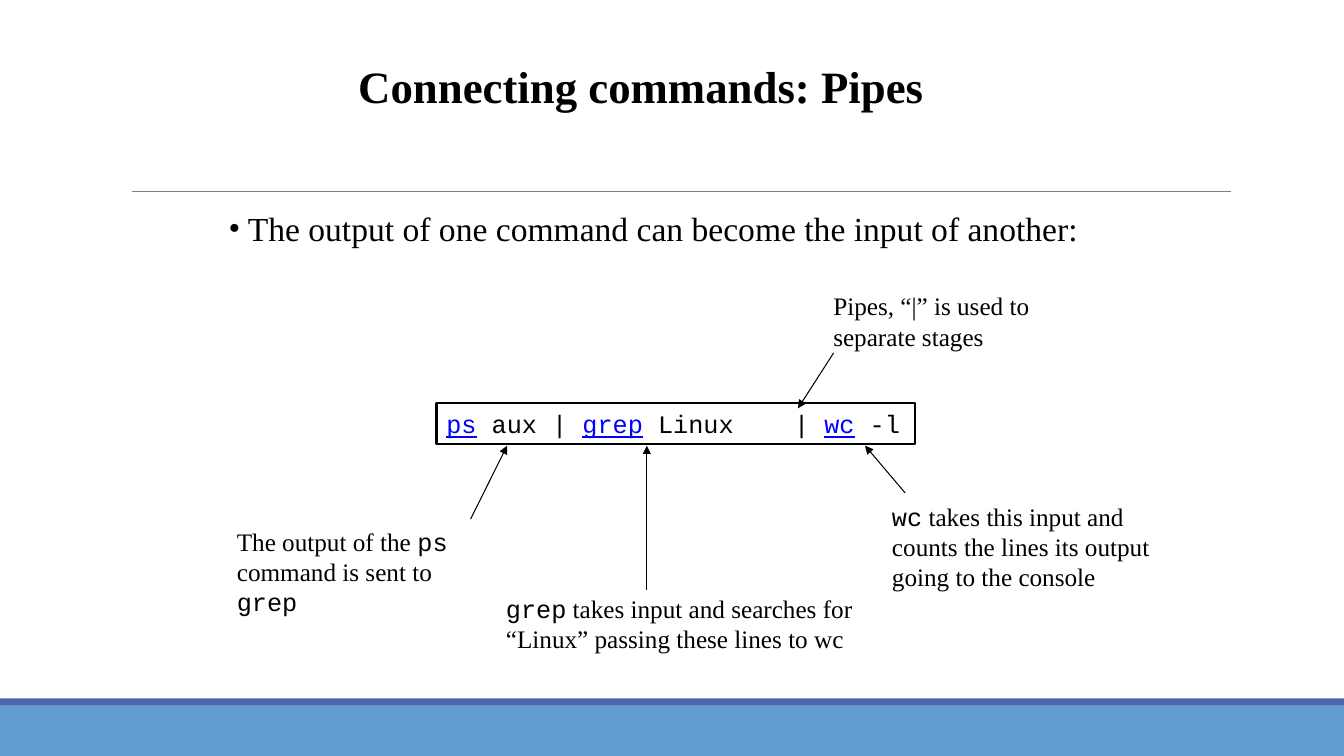
"""Build a slide that explains how pipes connect shell commands."""
from lxml.etree import SubElement
from pptx import Presentation
from pptx.dml.color import RGBColor
from pptx.enum.shapes import MSO_CONNECTOR, MSO_SHAPE
from pptx.enum.text import MSO_ANCHOR, MSO_AUTO_SIZE, PP_ALIGN
from pptx.oxml.ns import qn
from pptx.util import Cm, Pt

COLORS = {
    "text": "000000",
    "command": "0000FF",
    "rule": "808080",
    "band": "629DD1",
    "stripe": "4A66AC",
}
STYLES = {
    "title": {"name": "Times New Roman", "size": Pt(32), "bold": True},
    "body": {"name": "Times New Roman", "size": Pt(24)},
    "note": {"name": "Times New Roman", "size": Pt(18)},
    "code": {"name": "Courier New", "size": Pt(18)},
    "command": {"name": "Courier New", "size": Pt(18), "underline": True},
}


def write(shape, spans, frame_format):
    frame = shape.text_frame
    frame_format = {"word_wrap": True, "auto_size": MSO_AUTO_SIZE.NONE,
                    "vertical_anchor": MSO_ANCHOR.TOP, **frame_format}
    for name, value in frame_format.items():
        setattr(frame, name, value)
    para = frame.paragraphs[0]
    for text, style in spans:
        span = para.add_run()
        span.text = text
        for name, value in STYLES[style].items():
            setattr(span.font, name, value)
        span.font.color.rgb = RGBColor.from_string(COLORS.get(style, COLORS["text"]))
    return para


def add_line(shapes, ends, color, arrow):
    line = shapes.add_connector(MSO_CONNECTOR.STRAIGHT, *[Cm(value) for value in ends])
    line.line.color.rgb = RGBColor.from_string(COLORS[color])
    line.line.width = Pt(0.75)
    if arrow:
        SubElement(line.line._get_or_add_ln(), qn("a:tailEnd"), type="triangle")
    SubElement(line._element.spPr, qn("a:effectLst"))


deck = Presentation()
deck.slide_width, deck.slide_height = Cm(33.87), Cm(19.05)
page = deck.slides.add_slide(deck.slide_layouts[1])
shapes = page.shapes
title, body = shapes.title, page.placeholders[1]

for color, top, height in [("band", 17.78, 1.27), ("stripe", 17.6, 0.18)]:
    bar = shapes.add_shape(MSO_SHAPE.RECTANGLE, 0, Cm(top), deck.slide_width, Cm(height))
    bar.shadow.inherit = False
    bar.fill.solid()
    bar.fill.fore_color.rgb = RGBColor.from_string(COLORS[color])
    bar.line.fill.background()
add_line(shapes, (3.33, 4.83, 31.01, 4.83), "rule", False)

for holder, place in [(title, (5.36, 0.64, 21.59, 3.18)), (body, (5.51, 5.23, 22.71, 11.58))]:
    for name, value in zip(("left", "top", "width", "height"), place):
        setattr(holder, name, Cm(value))

margins = dict.fromkeys(("margin_left", "margin_top", "margin_right", "margin_bottom"), 0)
heading = write(title, [("Connecting commands: Pipes", "title")],
                {"vertical_anchor": MSO_ANCHOR.MIDDLE, **margins})
heading.alignment = PP_ALIGN.CENTER
heading.line_spacing = 0.9

point = write(body, [("The output of one command can become the input of another:", "body")], {})
properties = point._p.get_or_add_pPr()
properties.set("marL", str(Cm(0.48)))
properties.set("indent", str(-Cm(0.48)))
bullet_color = SubElement(properties, qn("a:buClr"))
SubElement(bullet_color, qn("a:srgbClr"), val=COLORS["text"])
SubElement(properties, qn("a:buFont"), typeface="Times New Roman")
SubElement(properties, qn("a:buChar"), char="•")
point.line_spacing = 0.9
point.space_before = Pt(0)

pipeline = shapes.add_shape(MSO_SHAPE.RECTANGLE, Cm(11), Cm(10.16), Cm(12.07), Cm(1.03))
pipeline.shadow.inherit = False
pipeline.fill.background()
pipeline.line.color.rgb = RGBColor.from_string(COLORS["text"])
pipeline.line.width = Pt(1.5)
command_line = write(pipeline, [
    ("ps", "command"), (" aux | ", "code"),
    ("grep", "command"), (" Linux    | ", "code"),
    ("wc", "command"), (" -l", "code"),
], {})
command_line.alignment = PP_ALIGN.LEFT

notes = [
    ((5.72, 13.13, 6.78, 2.54), (11.86, 13.08, 12.78, 11.23),
     [("The output of the ", "note"), ("ps", "code"),
      (" command is sent to ", "note"), ("grep", "code")]),
    ((12.5, 14.82, 10.97, 1.78), (16.3, 14.86, 16.3, 11.23),
     [("grep", "code"),
      (" takes input and searches for “Linux” passing these lines to wc", "note")]),
    ((22.23, 12.5, 7.2, 2.54), (22.81, 12.42, 21.8, 11.23),
     [("wc", "code"),
      (" takes this input and counts the lines its output going to the console", "note")]),
    ((20.75, 7.2, 7.5, 1.78), (21.01, 8.89, 20.11, 10.29),
     [("Pipes, “|” is used to separate stages", "note")]),
]
for place, arrow_ends, spans in notes:
    box = shapes.add_textbox(*[Cm(value) for value in place])
    write(box, spans, {})
    add_line(shapes, arrow_ends, "text", True)

deck.save("out.pptx")
